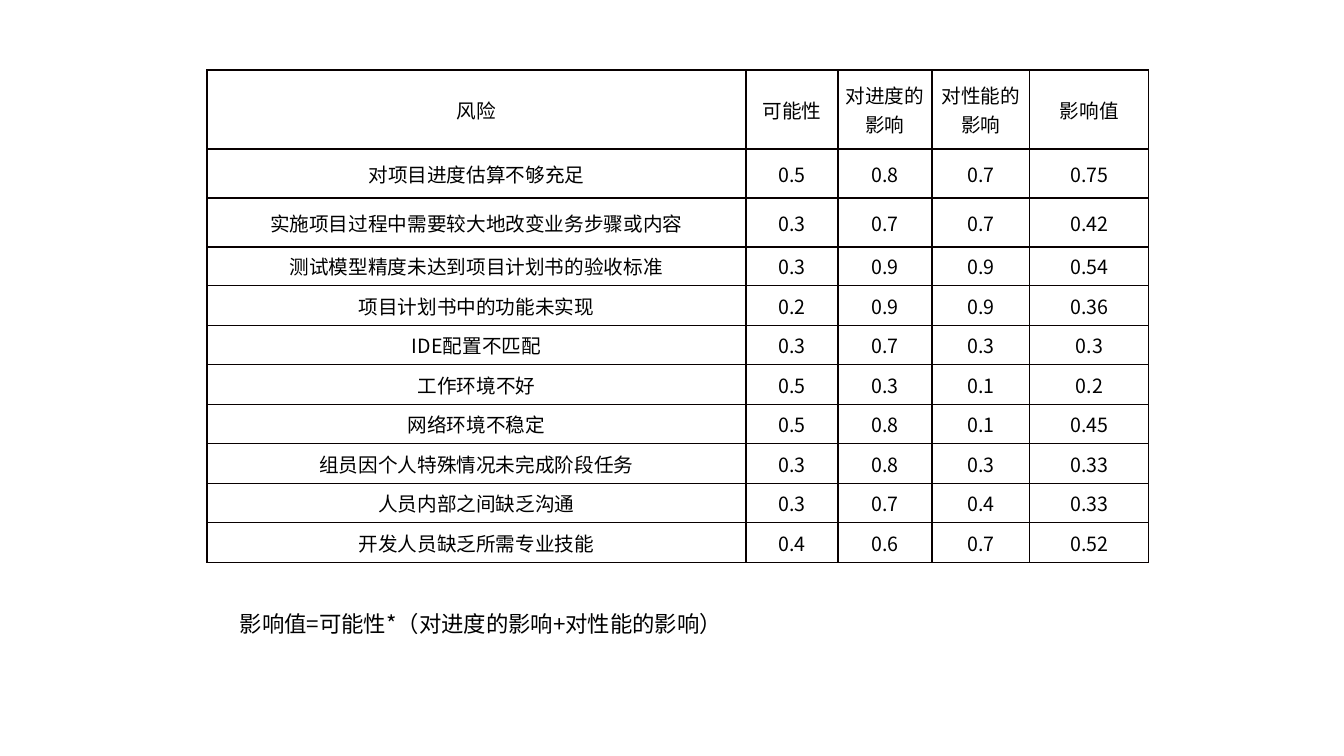
from lxml import etree
from pptx import Presentation
from pptx import util as u
from pptx.dml.color import RGBColor
from pptx.enum import text
from pptx.oxml.ns import qn

BLACK = RGBColor(0x00, 0x00, 0x00)
BORDER = RGBColor(0x08, 0x00, 0x00)
NOTO, CALIBRI = "Noto Sans CJK SC", "Calibri"

HEADER = ["风险", "可能性", "对进度的影响", "对性能的影响", "影响值"]
RISKS = [
    ("对项目进度估算不够充足", "0.5", "0.8", "0.7", "0.75"),
    ("实施项目过程中需要较大地改变业务步骤或内容", "0.3", "0.7", "0.7", "0.42"),
    ("测试模型精度未达到项目计划书的验收标准", "0.3", "0.9", "0.9", "0.54"),
    ("项目计划书中的功能未实现", "0.2", "0.9", "0.9", "0.36"),
    ("IDE配置不匹配", "0.3", "0.7", "0.3", "0.3"),
    ("工作环境不好", "0.5", "0.3", "0.1", "0.2"),
    ("网络环境不稳定", "0.5", "0.8", "0.1", "0.45"),
    ("组员因个人特殊情况未完成阶段任务", "0.3", "0.8", "0.3", "0.33"),
    ("人员内部之间缺乏沟通", "0.3", "0.7", "0.4", "0.33"),
    ("开发人员缺乏所需专业技能", "0.4", "0.6", "0.7", "0.52"),
]
COLUMNS = [539, 92, 94, 98, 119]
ROWS = [79, 49, 49] + [39, 40] * 4
FORMULA = [("影响值", CALIBRI), ("=", NOTO), ("可能性", CALIBRI), ("*", NOTO),
           ("（对进度的影响", CALIBRI), ("+", NOTO), ("对性能的影响）", CALIBRI)]


def px(n):
    return u.Emu(round(n * 914400 / 100.8))


class Slide:
    def __init__(self, prs, color=BLACK, border=BORDER):
        self.s = prs.slides.add_slide(prs.slide_layouts[6])
        self.color, self.border = color, border

    def run(self, p, words, size, font):
        r = p.add_run()
        r.text = words
        r.font.size, r.font.name = u.Pt(size), font
        r.font.color.rgb = self.color
        ea = etree.SubElement(r.font._element, qn("a:ea"))
        ea.set("typeface", NOTO)

    def outline(self, cell):
        tcPr = cell._tc.get_or_add_tcPr()
        for side in ("lnL", "lnR", "lnT", "lnB"):
            ln = etree.SubElement(tcPr, qn("a:" + side), w=str(u.Pt(1)))
            fill = etree.SubElement(ln, qn("a:solidFill"))
            etree.SubElement(fill, qn("a:srgbClr"), val=str(self.border))

    def table(self, x, y, columns, rows, data, size):
        table = self.s.shapes.add_table(len(rows), len(columns), px(x), px(y),
                                        px(sum(columns)), px(sum(rows))).table
        table.first_row = table.horz_banding = False
        for column, width in zip(table.columns, columns):
            column.width = px(width)
        for row, height, values in zip(table.rows, rows, data):
            row.height = px(height)
            for cell, value in zip(row.cells, values):
                self.outline(cell)
                cell.fill.background()
                cell.margin_left = cell.margin_right = px(7)
                cell.margin_top = cell.margin_bottom = 0
                cell.vertical_anchor = text.MSO_ANCHOR.MIDDLE
                p = cell.text_frame.paragraphs[0]
                p.alignment = text.PP_ALIGN.CENTER
                self.run(p, value, size, NOTO)

    def text(self, x, y, w, h, runs, size, indent):
        tf = self.s.shapes.add_textbox(px(x), px(y), px(w), px(h)).text_frame
        tf.word_wrap = True
        tf.auto_size = text.MSO_AUTO_SIZE.SHAPE_TO_FIT_TEXT
        p = tf.paragraphs[0]
        p._p.get_or_add_pPr().set("indent", str(px(indent)))
        for words, font in runs:
            self.run(p, words, size, font)


def main():
    prs = Presentation()
    prs.slide_width, prs.slide_height = px(1344), px(756)
    slide = Slide(prs)

    # Risk table
    slide.table(207, 70, COLUMNS, ROWS, [HEADER] + RISKS, 14)

    # Formula for the impact value
    slide.text(191, 605, 982, 37, FORMULA, 16, 39)

    prs.save("out.pptx")


if __name__ == "__main__":
    main()
